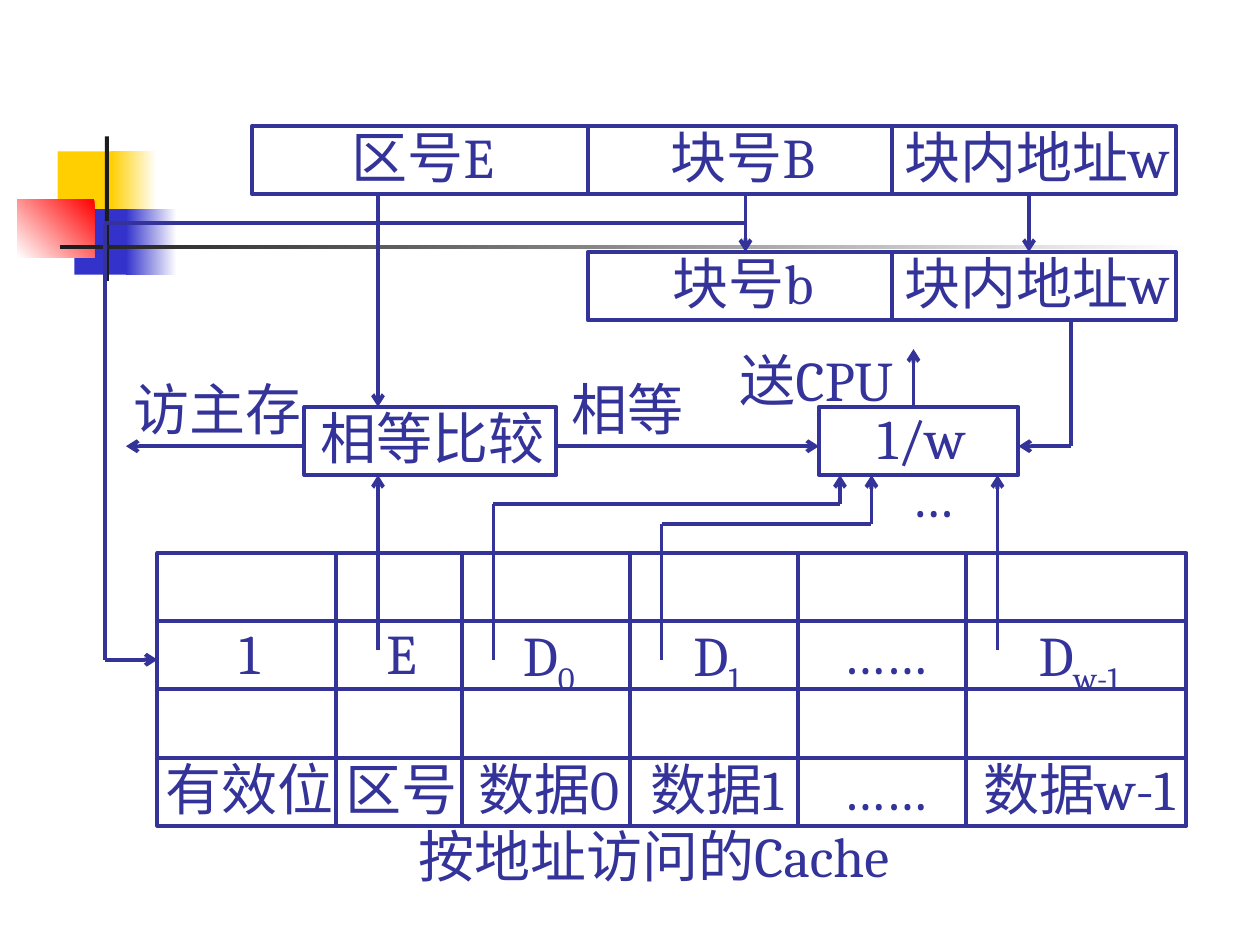
from itertools import pairwise

from lxml.etree import SubElement
from pptx import Presentation
from pptx.dml.color import RGBColor
from pptx.enum.shapes import MSO_CONNECTOR as Connector, MSO_SHAPE as Shape
from pptx.enum.text import MSO_ANCHOR as Anchor, PP_ALIGN as Align
from pptx.oxml.ns import qn
from pptx.util import Pt

INK = RGBColor(0x33, 0x33, 0x99)
YELLOW = RGBColor(0xFF, 0xCF, 0x01)
BLUE = RGBColor(0x33, 0x33, 0xCC)
RED = RGBColor(0xFF, 0x00, 0x00)
BLACK = RGBColor(0x1C, 0x1C, 0x1C)
WHITE = RGBColor(0xFF, 0xFF, 0xFF)

FONT = "Cambria"
TEXT_SIZE = 32
LINE_WIDTH = 2.25
ROW_HEIGHT = 39
TABLE_TOP = 316
COLUMN_EDGES = [90, 192, 264, 360, 456, 552, 678]
TABLE_ROWS = [
    [""] * 6,
    ["1", "E", "D_0", "D_1", "……", "D_w-1"],
    [""] * 6,
    ["有效位", "区号", "数据0", "数据1", "……", "数据w-1"],
]
ADDRESS_EDGES = [144, 336, 510, 672]

DECORATIONS = [
    (33, 86.5, 35, 37.5, [YELLOW], 0),
    (63.5, 86.5, 26, 37.5, [WHITE, YELLOW], 180),
    (42.5, 119.5, 33, 37.5, [BLUE], 0),
    (72, 119.5, 29, 37.5, [WHITE, BLUE], 180),
    (10, 114, 44, 33, [RED, WHITE], 225),
    (60, 78, 2.2, 82.5, [BLACK], 0),
    (34.5, 140.2, 648, 2.2, [WHITE, BLACK], 180),
]
LABELS = [
    (222, 471, 300, "按地址访问的Cache"),
    (318, 216, 78, "相等"),
    (63, 216, 120, "访主存"),
    (492, 265.5, 78, "…"),
    (405, 199.5, 120, "送CPU"),
]
ARROWS = [
    [(216, 111), (216, 232.5)],
    [(216, 371.5), (216, 271.5)],
    [(426, 111), (426, 144)],
    [(588, 111), (588, 144)],
    [(426, 127.5), (60, 127.5), (60, 377), (90, 377)],
    [(174, 255), (72, 255)],
    [(318, 255), (468, 255)],
    [(282, 377), (282, 288), (480, 288), (480, 271.5)],
    [(378, 377), (378, 299.5), (498, 299.5), (498, 271.5)],
    [(570, 371.5), (570, 271.5)],
    [(612, 183), (612, 255), (582, 255)],
    [(522, 232.5), (522, 199.5)],
]


def add_decoration(page, left, top, width, height, colors, angle):
    block = page.shapes.add_shape(
        Shape.RECTANGLE, Pt(left), Pt(top), Pt(width), Pt(height))
    block.shadow.inherit = False
    block.line.fill.background()
    if len(colors) == 1:
        block.fill.solid()
        block.fill.fore_color.rgb = colors[0]
        return
    block.fill.gradient()
    block.fill.gradient_angle = angle
    for stop, color in zip(block.fill.gradient_stops, colors):
        stop.color.rgb = color


def write_text(box, text):
    frame = box.text_frame
    frame.word_wrap = False
    frame.vertical_anchor = Anchor.MIDDLE
    frame.margin_left, frame.margin_top = Pt(6), Pt(3)
    frame.margin_right, frame.margin_bottom = Pt(3), Pt(0)
    base, _, subscript = text.partition("_")
    frame.text = base
    para = frame.paragraphs[0]
    para.alignment = Align.CENTER
    para.line_spacing = 0.8
    if subscript:
        span = para.add_run()
        span.text = subscript
        span._r.get_or_add_rPr().set("baseline", "-25000")
    for span in para.runs:
        span.font.name = FONT
        span.font.size = Pt(TEXT_SIZE)
        span.font.color.rgb = INK


def add_box(page, left, top, width, text):
    box = page.shapes.add_shape(
        Shape.RECTANGLE, Pt(left), Pt(top), Pt(width), Pt(ROW_HEIGHT))
    box.shadow.inherit = False
    box.fill.background()
    box.line.color.rgb = INK
    box.line.width = Pt(LINE_WIDTH)
    if text:
        write_text(box, text)


def add_row(page, edges, top, texts):
    for (left, right), text in zip(pairwise(edges), texts):
        add_box(page, left, top, right - left, text)


def add_label(page, left, top, width, text):
    label = page.shapes.add_textbox(
        Pt(left), Pt(top), Pt(width), Pt(ROW_HEIGHT))
    write_text(label, text)


def add_arrow(page, points):
    for start, end in pairwise(points):
        line = page.shapes.add_connector(
            Connector.STRAIGHT, *map(Pt, start + end))
        line.line.color.rgb = INK
        line.line.width = Pt(LINE_WIDTH)
        SubElement(line._element.spPr, qn("a:effectLst"))
    SubElement(line.line._get_or_add_ln(), qn("a:tailEnd"), type="arrow")


def main():
    deck = Presentation()
    deck.slide_width, deck.slide_height = Pt(720), Pt(540)
    page = deck.slides.add_slide(deck.slide_layouts[6])
    for decoration in DECORATIONS:
        add_decoration(page, *decoration)
    add_row(page, ADDRESS_EDGES, 72, ["区号E", "块号B", "块内地址w"])
    add_row(page, ADDRESS_EDGES[1:], 144, ["块号b", "块内地址w"])
    add_box(page, 174, 232.5, 144, "相等比较")
    add_box(page, 468, 232.5, 114, "1/w")
    for index, texts in enumerate(TABLE_ROWS):
        add_row(page, COLUMN_EDGES, TABLE_TOP + index * ROW_HEIGHT, texts)
    for label in LABELS:
        add_label(page, *label)
    for points in ARROWS:
        add_arrow(page, points)
    deck.save("out.pptx")


if __name__ == "__main__":
    main()
